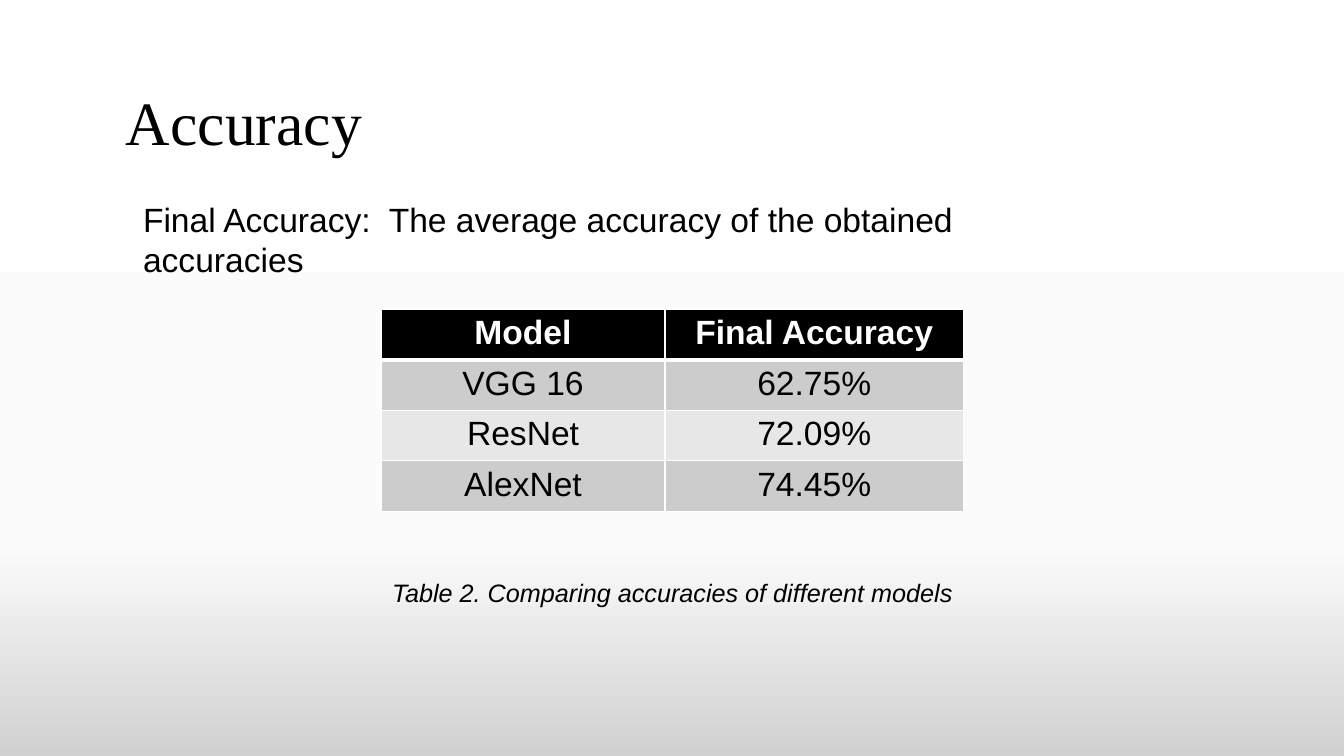
from copy import deepcopy

from lxml.etree import SubElement
from pptx import Presentation
from pptx.dml.color import RGBColor
from pptx.enum.text import MSO_ANCHOR as Anchor, MSO_AUTO_SIZE as AutoSize, PP_ALIGN as Align
from pptx.oxml.ns import qn
from pptx.util import Cm, Pt

BLACK, WHITE = "000000", "FFFFFF"
BANDS = ["CCCCCC", "E7E7E7"]
BACKGROUND = [(0, WHITE), (0.72, "FBFBFB"), (1, "D1D1D1")]
ACCURACIES = [
    ("Model", "Final Accuracy"),
    ("VGG 16", "62.75%"),
    ("ResNet", "72.09%"),
    ("AlexNet", "74.45%"),
]


def color(value):
    """Turn a hex string into a colour."""
    return RGBColor.from_string(value)


def write(frame, text, size=24, font="Arial", ink=BLACK, bold=False, italic=False, align=Align.LEFT):
    """Fill a text frame with one formatted paragraph."""
    paragraph = frame.paragraphs[0]
    paragraph.alignment = align
    paragraph.space_before = Pt(0)
    run = paragraph.add_run()
    run.text = text
    run.font.size, run.font.name = Pt(size), font
    run.font.bold, run.font.italic = bold, italic
    run.font.color.rgb = color(ink)
    return paragraph


def place(part, box):
    """Move a part to its box and anchor its text at the top."""
    part.left, part.top, part.width, part.height = map(Cm, box)
    frame = part.text_frame
    frame.word_wrap = True
    frame.auto_size = AutoSize.NONE
    frame.vertical_anchor = Anchor.TOP
    return frame


def paint_background(slide):
    """Shade the slide from white down to grey."""
    fill = slide.background.fill
    fill.gradient()
    fill.gradient_angle = 270
    stops = slide.element.find(".//" + qn("a:gsLst"))
    stops.append(deepcopy(stops[-1]))
    for stop, (position, shade) in zip(fill.gradient_stops, BACKGROUND):
        stop.position = position
        stop.color.rgb = color(shade)


def add_heading(slide, box):
    """Set the slide title."""
    write(place(slide.shapes.title, box), "Accuracy", size=44, font="Times New Roman")


def add_definition(slide, box):
    """Set the unbulleted body text."""
    frame = place(slide.placeholders[1], box)
    paragraph = write(frame, "Final Accuracy:  The average accuracy of the obtained accuracies")
    properties = paragraph._p.get_or_add_pPr()
    properties.set("marL", "0")
    properties.set("indent", "0")
    SubElement(properties, qn("a:buNone"))


def rule_cell(cell, bottom):
    """Draw white borders around a cell."""
    properties = cell._tc.get_or_add_tcPr()
    for index, (side, points) in enumerate([("L", 1), ("R", 1), ("T", 1), ("B", bottom)]):
        border = SubElement(properties, qn(f"a:ln{side}"), w=str(Pt(points)))
        properties.insert(index, border)
        SubElement(SubElement(border, qn("a:solidFill")), qn("a:srgbClr"), val=WHITE)


def add_accuracy_table(slide, box, widths):
    """Place the banded table of model accuracies."""
    table = slide.shapes.add_table(len(ACCURACIES), len(widths), *map(Cm, box)).table
    for column, width in zip(table.columns, widths):
        column.width = Cm(width)
    for row, entries in enumerate(ACCURACIES):
        header = row == 0
        for column, entry in enumerate(entries):
            cell = table.cell(row, column)
            cell.fill.solid()
            cell.fill.fore_color.rgb = color(BLACK if header else BANDS[(row - 1) % 2])
            rule_cell(cell, 3 if header else 1)
            write(cell.text_frame, entry, ink=WHITE if header else BLACK, bold=header, align=Align.CENTER)


def add_caption(slide, box):
    """Place the centred table caption."""
    frame = place(slide.shapes.add_textbox(0, 0, 0, 0), box)
    frame.word_wrap = False
    write(frame, "Table 2. Comparing accuracies of different models", size=18, italic=True, align=Align.CENTER)


def main():
    """Build and save the accuracy slide."""
    deck = Presentation()
    deck.slide_width, deck.slide_height = Cm(33.87), Cm(19.05)
    slide = deck.slides.add_slide(deck.slide_layouts[1])
    paint_background(slide)
    add_heading(slide, (2.92, 1.98, 13.34, 2.9))
    add_definition(slide, (3.35, 4.88, 23.57, 2.31))
    add_accuracy_table(slide, (9.6, 7.8, 14.68, 5.08), (7.16, 7.52))
    add_caption(slide, (9.63, 14.43, 14.63, 1.02))
    deck.save("out.pptx")


if __name__ == "__main__":
    main()
